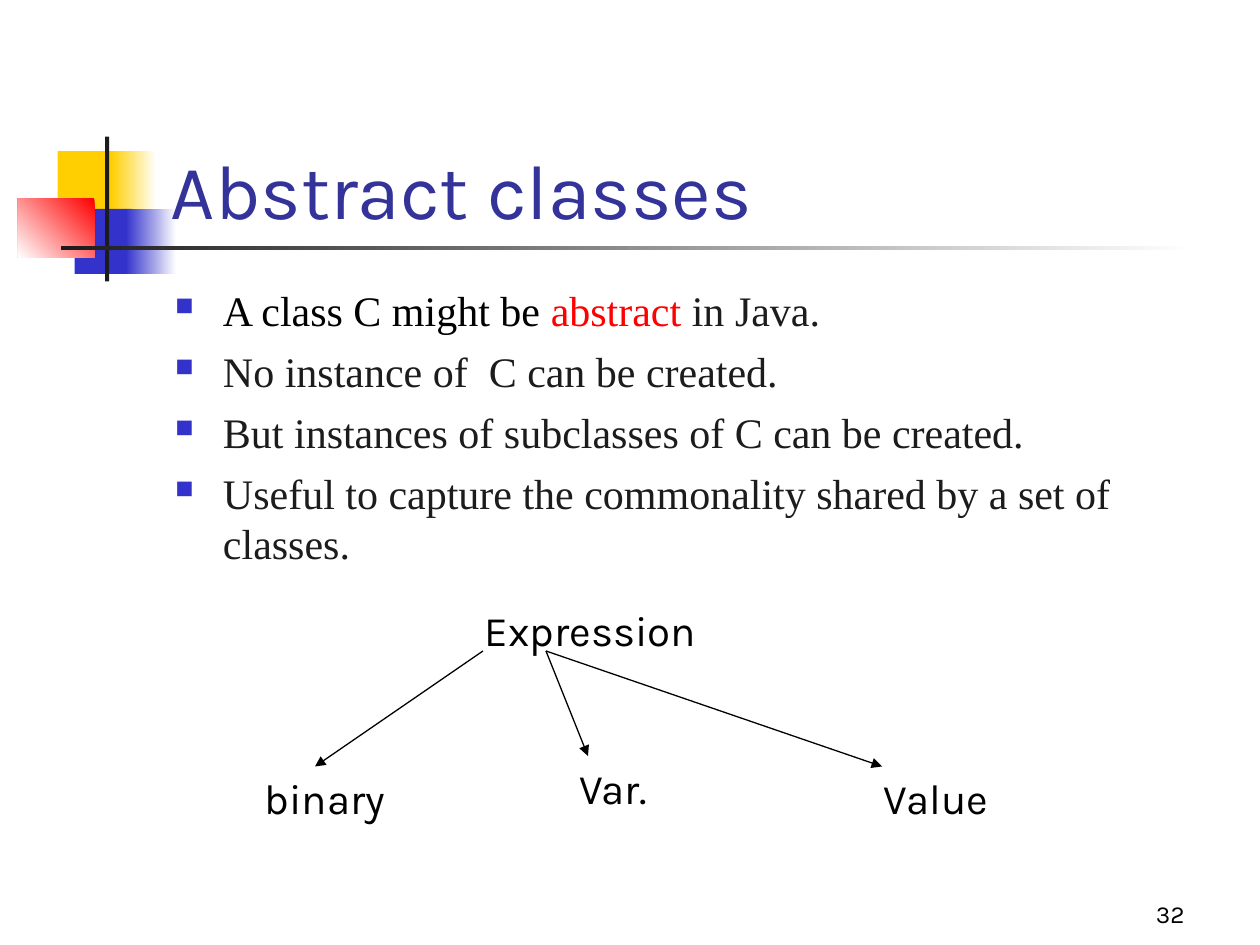
from lxml.etree import SubElement
from pptx import Presentation
from pptx.dml.color import RGBColor
from pptx.enum.shapes import MSO_CONNECTOR, MSO_SHAPE
from pptx.enum.text import MSO_ANCHOR, MSO_AUTO_SIZE, PP_ALIGN
from pptx.oxml.ns import qn
from pptx.util import Inches, Pt

BLACK = RGBColor(0x00, 0x00, 0x00)
WHITE = RGBColor(0xFF, 0xFF, 0xFF)
INK = RGBColor(0x1C, 0x1C, 0x1C)
RED = RGBColor(0xFF, 0x00, 0x00)
YELLOW = RGBColor(0xFF, 0xCF, 0x01)
BLUE = RGBColor(0x33, 0x33, 0xCC)
NAVY = RGBColor(0x33, 0x33, 0x99)
HEAD_FONT = "Karla"
BODY_FONT = "Times New Roman"


def cell(n):
    """Return the length of n grid cells, twelve to the inch."""
    return Inches(n / 12)


def add_run(p, text, size, color, font=HEAD_FONT):
    """Add one formatted run to a paragraph."""
    r = p.add_run()
    r.text = text
    r.font.size = Pt(size)
    r.font.name = font
    r.font.color.rgb = color


def add_box(s, box, anchor=MSO_ANCHOR.TOP):
    """Add a wrapping text box and return its text frame."""
    tf = s.shapes.add_textbox(*map(cell, box)).text_frame
    tf.word_wrap = True
    tf.vertical_anchor = anchor
    return tf


def add_block(s, box, colors, angle=0):
    """Add a rectangle filled with one colour or a two-colour gradient."""
    sp = s.shapes.add_shape(MSO_SHAPE.RECTANGLE, *map(cell, box))
    sp.shadow.inherit = False
    sp.line.fill.background()
    if len(colors) == 1:
        sp.fill.solid()
        sp.fill.fore_color.rgb = colors[0]
        return
    sp.fill.gradient()
    sp.fill.gradient_angle = angle
    for stop, color, position in zip(sp.fill.gradient_stops, colors, (0, 1)):
        stop.color.rgb = color
        stop.position = position


def add_motif(s, box):
    """Draw the coloured blocks and the crossing rules."""
    x, y, w, h = box
    blocks = [
        ((3.8, 1.4, 5.8, 6.2), (YELLOW,), 0),
        ((8.9, 1.4, 4.3, 6.2), (WHITE, YELLOW), 180),
        ((5.4, 6.9, 5.5, 6.2), (BLUE,), 0),
        ((10.3, 6.9, 4.8, 6.2), (WHITE, BLUE), 180),
        ((0, 5.9, 7.3, 5.6), (RED, WHITE), 225),
        ((8.3, 0, 0.4, h), (INK,), 0),
        ((4.1, 10.4, w - 4.1, 0.4), (WHITE, INK), 180),
    ]
    for (dx, dy, bw, bh), colors, angle in blocks:
        add_block(s, (x + dx, y + dy, bw, bh), colors, angle)


def add_title(s, box, text):
    """Add the slide title at the foot of its box."""
    tf = add_box(s, box, MSO_ANCHOR.BOTTOM)
    add_run(tf.paragraphs[0], text, 44, NAVY)


def add_bullet(p):
    """Give a paragraph a hanging square bullet."""
    pPr = p._p.get_or_add_pPr()
    pPr.set("marL", str(Inches(0.38)))
    pPr.set("indent", str(-Inches(0.38)))
    clr = SubElement(pPr, qn("a:buClr"))
    SubElement(clr, qn("a:srgbClr"), val=str(BLUE))
    SubElement(pPr, qn("a:buSzPct"), val="60000")
    SubElement(pPr, qn("a:buChar"), char="■")


def add_body(s, box, points):
    """Add the bullet list, each point a list of coloured runs."""
    tf = add_box(s, box)
    for i, runs in enumerate(points):
        p = tf.add_paragraph() if i else tf.paragraphs[0]
        add_bullet(p)
        if i:
            p.space_before = Pt(6)
        for text, color in runs:
            add_run(p, text, 24, color, BODY_FONT)


def add_arrow(s, start, end):
    """Draw a thin black arrow between two grid points."""
    c = s.shapes.add_connector(MSO_CONNECTOR.STRAIGHT, *map(cell, start + end))
    c.line.color.rgb = BLACK
    c.line.width = Pt(0.75)
    SubElement(c.line._get_or_add_ln(), qn("a:tailEnd"), type="triangle")
    SubElement(c._element.spPr, qn("a:effectLst"))


def add_tree(s, box):
    """Draw the class tree with its labels and arrows."""
    x, y, w, h = box
    low = h - 6
    labels = [
        ("Expression", 21, 0, 28),
        ("binary", 0, low, 16),
        ("Var.", 30, low - 1, 23),
        ("Value", w - 26, low, 26),
    ]
    for text, dx, dy, lw in labels:
        tf = add_box(s, (x + dx, y + dy, lw, 6))
        tf.auto_size = MSO_AUTO_SIZE.SHAPE_TO_FIT_TEXT
        add_run(tf.paragraphs[0], text, 24, BLACK)
    for x1, x2, dy in [(22, 6, low), (28, 32, low - 1), (28, 60, low)]:
        add_arrow(s, (x + x1, y + 5), (x + x2, y + dy))


def add_page_number(s, box, number):
    """Add the page number at the right."""
    p = add_box(s, box, MSO_ANCHOR.BOTTOM).paragraphs[0]
    p.alignment = PP_ALIGN.RIGHT
    add_run(p, number, 14, BLACK)


def main():
    """Build the slide and save it."""
    prs = Presentation()
    prs.slide_width, prs.slide_height = cell(120), cell(90)
    s = prs.slides.add_slide(prs.slide_layouts[6])
    add_motif(s, (1.7, 13, 112.1, 13.8))
    add_title(s, (15.1, 8, 102.2, 15), "Abstract classes")
    add_body(s, (15.5, 26.5, 102, 54), [
        [("A class C might be ", BLACK), ("abstract ", RED), ("in Java.", INK)],
        [("No instance of  C can be created.", INK)],
        [("But instances of subclasses of C can be created.", INK)],
        [("Useful to capture the commonality shared by a set of classes.", INK)],
    ])
    add_tree(s, (24, 57, 85, 22))
    add_page_number(s, (89, 83, 25, 6), "32")
    prs.save("out.pptx")


if __name__ == "__main__":
    main()
